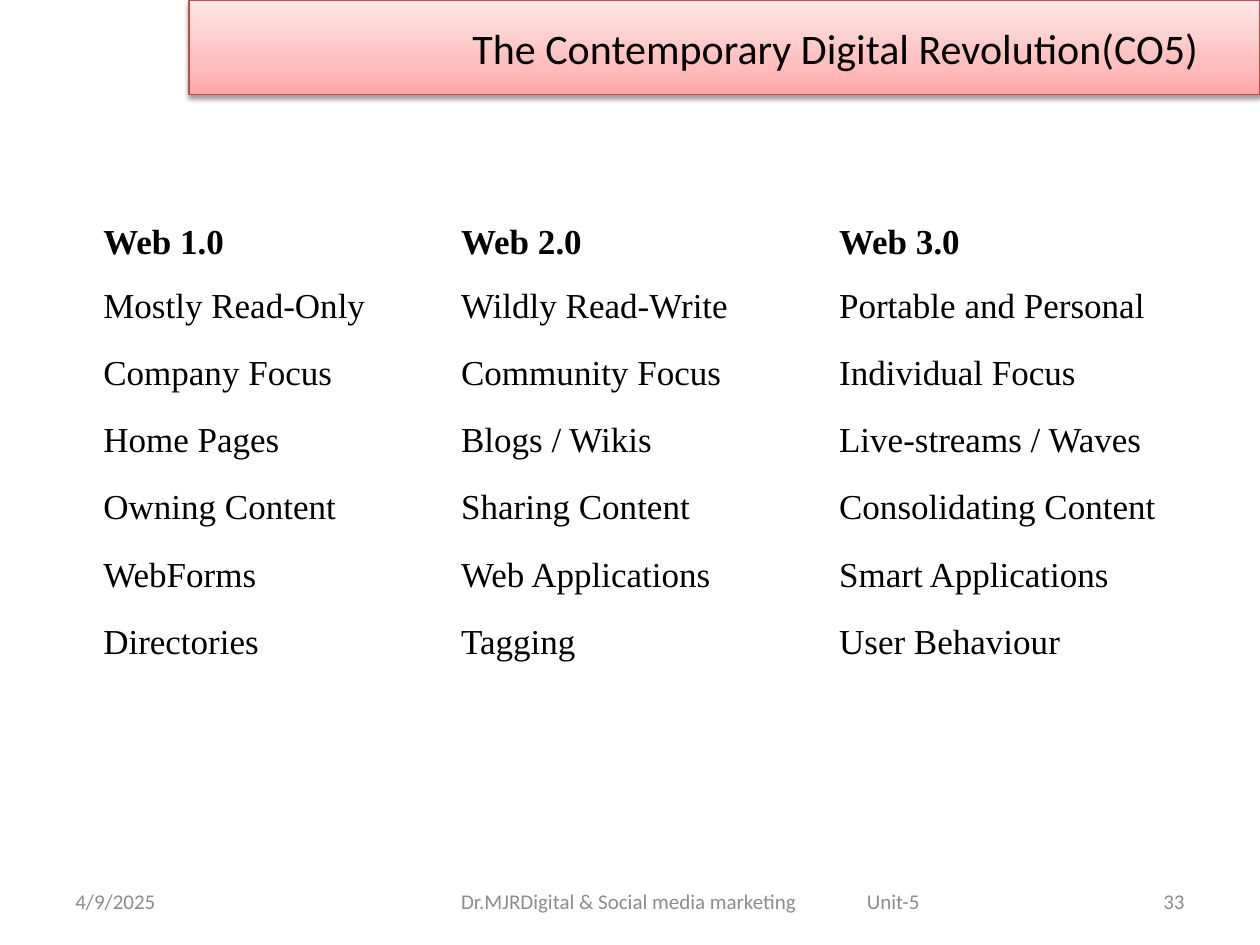
from copy import deepcopy

from lxml.etree import SubElement
from pptx import Presentation
from pptx.dml.color import RGBColor as RGB
from pptx.enum.shapes import MSO_SHAPE as SHAPE
from pptx.enum.text import MSO_ANCHOR as ANCHOR, PP_ALIGN as ALIGN
from pptx.oxml.ns import qn
from pptx.util import Inches, Pt

TITLE = "The Contemporary Digital Revolution(CO5)"
ROWS = [
    ("Web 1.0", "Web 2.0", "Web 3.0"),
    ("Mostly Read-Only", "Wildly Read-Write", "Portable and Personal"),
    ("Company Focus", "Community Focus", "Individual Focus"),
    ("Home Pages", "Blogs / Wikis", "Live-streams / Waves"),
    ("Owning Content", "Sharing Content", "Consolidating Content"),
    ("WebForms", "Web Applications", "Smart Applications"),
    ("Directories", "Tagging", "User Behaviour"),
]
FOOTERS = [
    ("4/9/2025", 0.5, 2.33, 0.1, ALIGN.LEFT),
    ("Dr.MJRDigital & Social media marketing\tUnit-5", 2.75, 5.5, 0.91, ALIGN.LEFT),
    ("33", 7.17, 2.33, 0.1, ALIGN.RIGHT),
]
UNIT_TAB = 3.22
COL_WIDTHS = (2.84, 3, 2.92)
HEAD_HEIGHT, ROW_HEIGHT = 0.45, 0.51
THEME = {
    "sans": "Calibri", "serif": "Times New Roman",
    "title": 24, "body": 20, "footer": 12,
    "ink": "000000", "muted": "8C8C8C", "paper": "FFFFFF", "line": "BF4C48",
    "stops": [(0, "FFA6A5"), (0.35, "FFC0BF"), (1, "FFE7E7")],
}


def style(p, font, size, color, bold=False):
    for r in p.runs:
        r.font.name, r.font.size, r.font.bold = THEME[font], Pt(THEME[size]), bold
        r.font.color.rgb = RGB.from_string(THEME[color])


def add_shadow(s):
    s.shadow.inherit = False
    effects = s._element.spPr.find(qn("a:effectLst"))
    shadow = SubElement(effects, qn("a:outerShdw"), blurRad=str(Pt(3.1)),
                        dist=str(Pt(1.6)), dir="5400000", rotWithShape="0")
    color = SubElement(shadow, qn("a:srgbClr"), val=THEME["ink"])
    SubElement(color, qn("a:alpha"), val="38000")


def add_title(slide):
    s = slide.shapes.add_shape(SHAPE.RECTANGLE, Inches(1.5), 0, Inches(8.5), Inches(0.75))
    s.fill.gradient()
    s.fill.gradient_angle = 90
    stops = s._element.spPr.find(".//" + qn("a:gsLst"))
    stops.append(deepcopy(stops[0]))
    for stop, (position, color) in zip(s.fill.gradient_stops, THEME["stops"]):
        stop.position = position
        stop.color.rgb = RGB.from_string(color)
    s.line.color.rgb = RGB.from_string(THEME["line"])
    s.line.width = Pt(0.75)
    add_shadow(s)
    tf = s.text_frame
    tf.text = TITLE
    tf.margin_left = Inches(2.25)
    tf.vertical_anchor = ANCHOR.MIDDLE
    tf.paragraphs[0].alignment = ALIGN.LEFT
    style(tf.paragraphs[0], "sans", "title", "ink")


def add_web_table(slide):
    height = HEAD_HEIGHT + ROW_HEIGHT * (len(ROWS) - 1)
    table = slide.shapes.add_table(
        len(ROWS), len(COL_WIDTHS), Inches(0.75), Inches(1.69),
        Inches(sum(COL_WIDTHS)), Inches(height)).table
    table.horz_banding = False
    for col, width in zip(table.columns, COL_WIDTHS):
        col.width = Inches(width)
    for i, row in enumerate(ROWS):
        head = i == 0
        table.rows[i].height = Inches(HEAD_HEIGHT if head else ROW_HEIGHT)
        for j, text in enumerate(row):
            cell = table.cell(i, j)
            cell.text = text
            cell.fill.solid()
            cell.fill.fore_color.rgb = RGB.from_string(THEME["paper"])
            cell.vertical_anchor = ANCHOR.MIDDLE
            cell.margin_left = cell.margin_right = Inches(0.07)
            cell.margin_top = cell.margin_bottom = Inches(0.07 if head else 0.1)
            style(cell.text_frame.paragraphs[0], "serif", "body", "ink", head)


def add_footers(slide):
    for text, left, width, inset, align in FOOTERS:
        tf = slide.shapes.add_textbox(
            Inches(left), Inches(6.95), Inches(width), Inches(0.4)).text_frame
        tf.text = text
        tf.word_wrap = True
        tf.margin_left = Inches(inset)
        tf.vertical_anchor = ANCHOR.MIDDLE
        p = tf.paragraphs[0]
        p.alignment = align
        if "\t" in text:
            tabs = SubElement(p._p.get_or_add_pPr(), qn("a:tabLst"))
            SubElement(tabs, qn("a:tab"), pos=str(Inches(UNIT_TAB)), algn="l")
        style(p, "sans", "footer", "muted")


def main():
    """Build the slide comparing Web 1.0, 2.0 and 3.0."""
    prs = Presentation()
    prs.slide_width, prs.slide_height = Inches(10), Inches(7.5)
    slide = prs.slides.add_slide(prs.slide_layouts[6])
    add_footers(slide)
    add_title(slide)
    add_web_table(slide)
    prs.save("out.pptx")


if __name__ == "__main__":
    main()
